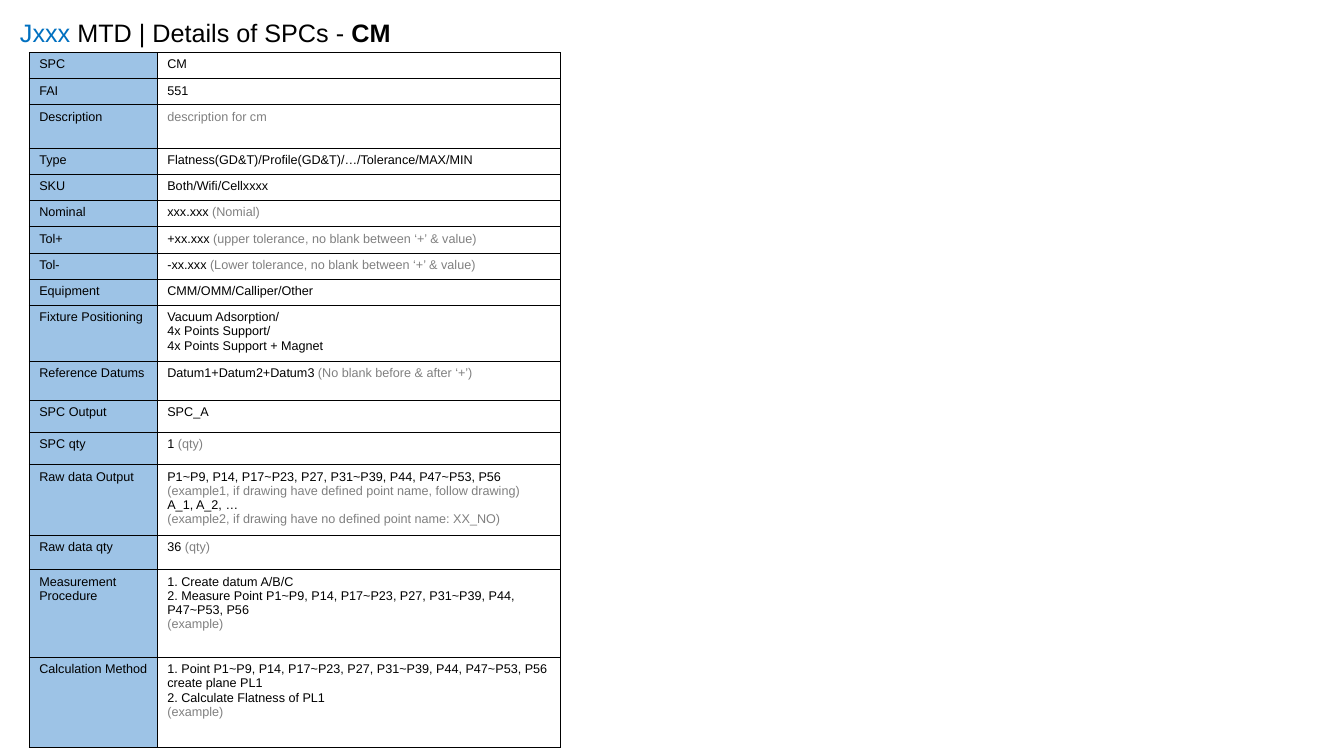
import pptx
import pptx.dml.color
import pptx.enum.text
import pptx.oxml
import pptx.oxml.ns
import pptx.util
from pptx.util import Inches

BLACK, GREY, BLUE, LABEL_FILL = "000000", "808080", "0070C0", "9DC3E6"
FONT = "Arial"

TITLE = [("Jxxx ", BLUE, False), ("MTD | Details of SPCs - ", BLACK, False), ("CM", BLACK, True)]
TITLE_BOX = (0.1, 0.12, 6.67, 0.4)
TABLE_LEFT, TABLE_TOP = 0.29, 0.52
COLUMN_WIDTHS = (1.27, 4)

# label, row height, lines of (value, grey hint)
DETAILS = [
    ("SPC", 0.26, [("CM", "")]),
    ("FAI", 0.26, [("551", "")]),
    ("Description", 0.43, [("", "description for cm")]),
    ("Type", 0.26, [("Flatness(GD&T)/Profile(GD&T)/…/Tolerance/MAX/MIN", "")]),
    ("SKU", 0.26, [("Both/Wifi/Cellxxxx", "")]),
    ("Nominal", 0.26, [("xxx.xxx ", "(Nomial)")]),
    ("Tol+", 0.26, [("+xx.xxx ", "(upper tolerance, no blank between ‘+’ & value)")]),
    ("Tol-", 0.26, [("-xx.xxx ", "(Lower tolerance, no blank between ‘+’ & value)")]),
    ("Equipment", 0.26, [("CMM/OMM/Calliper/Other", "")]),
    ("Fixture Positioning", 0.55, [
        ("Vacuum Adsorption/", ""),
        ("4x Points Support/", ""),
        ("4x Points Support + Magnet", "")]),
    ("Reference Datums", 0.39, [("Datum1+Datum2+Datum3 ", "(No blank before & after ‘+’)")]),
    ("SPC Output", 0.32, [("SPC_A", "")]),
    ("SPC qty", 0.32, [("1 ", "(qty)")]),
    ("Raw data Output", 0.69, [
        ("P1~P9, P14, P17~P23, P27, P31~P39, P44, P47~P53, P56", ""),
        ("", "(example1, if drawing have defined point name, follow drawing)"),
        ("A_1, A_2, …", ""),
        ("", "(example2, if drawing have no defined point name: XX_NO)")]),
    ("Raw data qty", 0.34, [("36 ", "(qty)")]),
    ("Measurement Procedure", 0.87, [
        ("1. Create datum A/B/C", ""),
        ("2. Measure Point P1~P9, P14, P17~P23, P27, P31~P39, P44, P47~P53, P56", ""),
        ("", "(example)")]),
    ("Calculation Method", 0.89, [
        ("1. Point P1~P9, P14, P17~P23, P27, P31~P39, P44, P47~P53, P56 create plane PL1", ""),
        ("2. Calculate Flatness of PL1", ""),
        ("", "(example)")]),
]


def rgb(hex_code):
    return pptx.dml.color.RGBColor.from_string(hex_code)


def add_run(paragraph, text, size, color, bold=False):
    run = paragraph.add_run()
    run.text = text
    font_format = {"name": FONT, "size": pptx.util.Pt(size), "bold": bold}
    for attribute, value in font_format.items():
        setattr(run.font, attribute, value)
    run.font.color.rgb = rgb(color)


def add_borders(cell):
    properties = cell._tc.get_or_add_tcPr()
    for side in ("lnL", "lnR", "lnT", "lnB"):
        properties.append(pptx.oxml.parse_xml(
            f'<a:{side} {pptx.oxml.ns.nsdecls("a")} w="{pptx.util.Pt(0.5)}">'
            f'<a:solidFill><a:srgbClr val="{BLACK}"/></a:solidFill></a:{side}>'))


def fill_cell(cell, lines, fill=None):
    add_borders(cell)
    if fill:
        cell.fill.solid()
        cell.fill.fore_color.rgb = rgb(fill)
    else:
        cell.fill.background()
    for index, line in enumerate(lines):
        frame = cell.text_frame
        paragraph = frame.add_paragraph() if index else frame.paragraphs[0]
        for text, color in zip(line, (BLACK, GREY)):
            if text:
                add_run(paragraph, text, 9, color)


def add_title(slide):
    frame = slide.shapes.add_textbox(*map(Inches, TITLE_BOX)).text_frame
    frame.word_wrap = True
    frame.auto_size = pptx.enum.text.MSO_AUTO_SIZE.SHAPE_TO_FIT_TEXT
    for text, color, bold in TITLE:
        add_run(frame.paragraphs[0], text, 18, color, bold)


def add_details(slide):
    total_height = sum(height for _, height, _ in DETAILS)
    details = slide.shapes.add_table(
        len(DETAILS), len(COLUMN_WIDTHS), Inches(TABLE_LEFT), Inches(TABLE_TOP),
        Inches(sum(COLUMN_WIDTHS)), Inches(total_height)).table
    details.first_row = details.horz_banding = False
    for column, width in zip(details.columns, COLUMN_WIDTHS):
        column.width = Inches(width)
    for row, (label, height, lines) in zip(details.rows, DETAILS):
        row.height = Inches(height)
        fill_cell(row.cells[0], [(label, "")], LABEL_FILL)
        fill_cell(row.cells[1], lines)


def main():
    deck = pptx.Presentation()
    deck.slide_width, deck.slide_height = Inches(13.33), Inches(7.5)
    slide = deck.slides.add_slide(deck.slide_layouts[6])
    add_title(slide)
    add_details(slide)
    deck.save("out.pptx")


if __name__ == "__main__":
    main()
